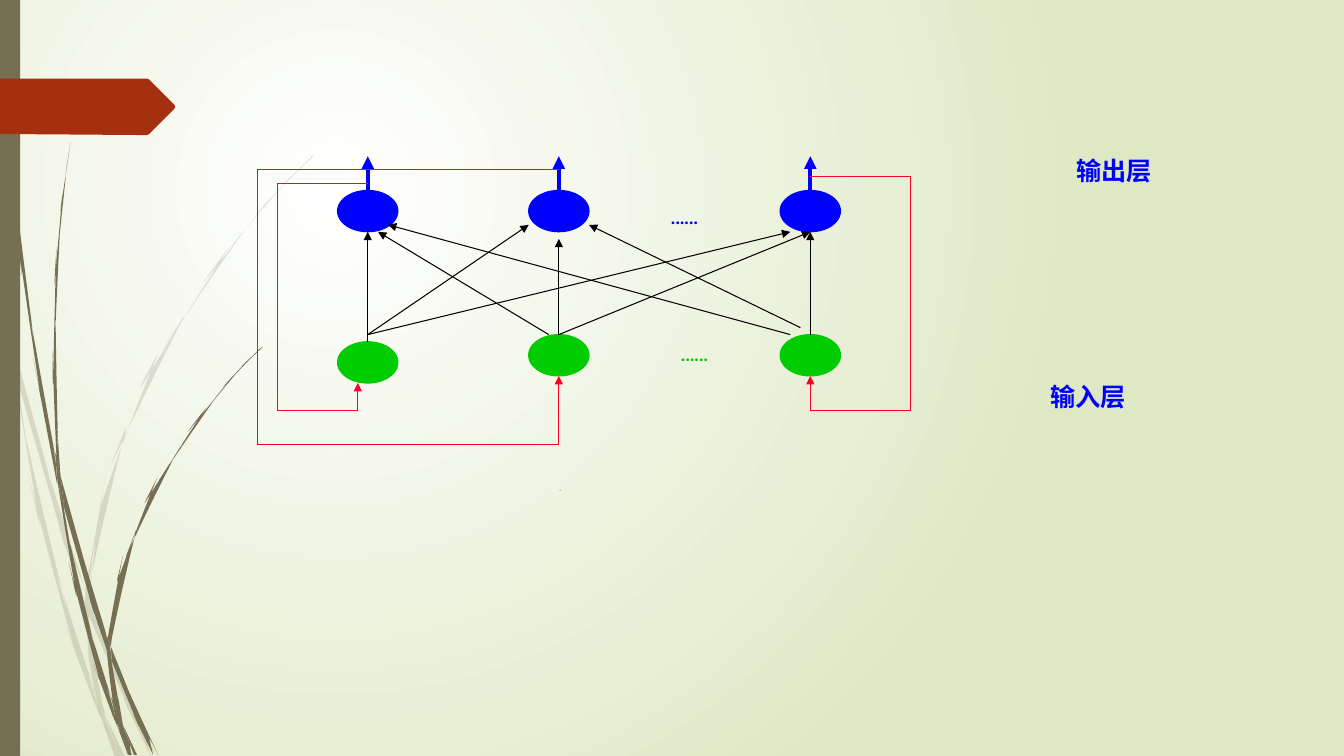
from itertools import pairwise
from lxml.etree import SubElement
from pptx import Presentation
from pptx.dml.color import RGBColor
from pptx.enum.shapes import MSO_CONNECTOR as Connector, MSO_SHAPE as Shape
from pptx.enum.text import MSO_ANCHOR as Anchor, PP_ALIGN as Align
from pptx.oxml.ns import qn
from pptx.util import Pt

THEME = {
    "glow": "FFFFFF", "field": "DFE8C4", "wisp": "766F54", "marker": "A53010",
    "output": "0000FF", "input": "00CC00", "link": "000000", "feedback": "FC0128",
    "dot": "8C8C8C", "label_font": "Karla", "dot_font": "Quicksand",
    "label_size": 18, "dot_size": 9, "thin": 0.75, "thick": 3,
}
SLIDE_SIZE = (960, 540)
GRID = 0.72

PALE_WISPS = [
    [[(11, 350), (9, 322), (0, 282)], [(0, 299), (10, 344), (11, 350)]],
    [[(17, 376), (58, 522), (84, 599)], [(85, 586), (62, 520), (14, 345)]],
    [[(88, 610), (123, 694), (150, 751)],
     [(155, 751), (127, 692), (92, 607), (88, 596)]],
    [[(105, 711), (119, 751)], [(124, 751), (105, 711)]],
    [[(11, 350), (28, 470), (65, 621), (92, 693), (101, 714)],
     [(99, 707), (93, 683), (70, 619), (31, 469), (17, 376), (11, 350)]],
    [[(84, 599), (87, 646), (93, 683), (96, 692), (105, 711)],
     [(103, 706), (91, 646), (88, 610), (88, 608), (84, 599)]],
    [[(88, 596), (88, 584), (110, 462), (160, 349), (229, 245), (268, 198),
      (290, 175), (312, 154)],
     [(312, 153), (289, 175), (268, 197), (228, 244), (158, 348), (107, 461),
      (85, 584), (85, 586)]],
    [[(101, 714), (114, 751)], [(119, 751), (101, 714)]],
    [[(88, 608), (88, 610)], [(88, 596), (85, 586)], [(84, 599), (88, 608)]],
    [[(93, 683), (99, 707), (101, 714), (119, 751)],
     [(105, 711), (96, 692), (93, 683)]],
]
DARK_WISPS = [
    [[(57, 481), (55, 457), (55, 453), (36, 355), (19, 232), (8, 109), (5, 48), (4, 0)],
     [(3, 0), (4, 48), (7, 110), (17, 233), (33, 355), (56, 477), (57, 481)]],
    [[(64, 505), (88, 592), (106, 645)], [(106, 633), (106, 631), (93, 590), (60, 472)]],
    [[(111, 656), (132, 708), (152, 749)],
     [(157, 749), (136, 706), (113, 649), (110, 641)]],
    [[(57, 477), (68, 557), (93, 659), (111, 708), (117, 722)],
     [(116, 717), (110, 691), (98, 657), (72, 556), (64, 505), (57, 477)]],
    [[(60, 472), (58, 453), (54, 349), (58, 245), (63, 193), (70, 141)],
     [(70, 141), (62, 193), (56, 245), (52, 349), (55, 449), (60, 472)]],
    [[(122, 719), (133, 749)], [(136, 749), (122, 719)]],
    [[(57, 477), (64, 505)], [(60, 472), (55, 449)], [(55, 453), (57, 477)]],
    [[(111, 633), (125, 552), (158, 476), (205, 406), (231, 374), (245, 359), (261, 344)],
     [(260, 344), (245, 358), (231, 373), (204, 405), (156, 474), (122, 551),
      (106, 631), (110, 641)]],
    [[(117, 722), (127, 749)], [(131, 749), (117, 722)]],
    [[(106, 645), (110, 691), (116, 706), (122, 719)],
     [(121, 716), (111, 656), (109, 651), (106, 645)]],
    [[(106, 645), (109, 651), (111, 656)], [(110, 641), (106, 631), (106, 633)]],
    [[(110, 691), (116, 717), (117, 722), (130, 749)],
     [(133, 749), (122, 719), (116, 706), (110, 691)]],
]
MARKER = [[(0, 78), (146, 78)], [(148, 79), (173, 104)], [(174, 106), (173, 108)],
          [(148, 133), (146, 134)], [(136, 134), (0, 133)]]

COLUMNS = (262.7, 399.2, 578.8)
FIRST, SECOND, LAST = COLUMNS
NODE_SIZE = (43.2, 29.6)
OUTPUT_TOP = 136
INPUT_TOPS = (244.1, 239, 239)
ARROW_TOP = 111.6
LINKS = [
    ((FIRST, 244.1), (FIRST, 165.6)),
    ((FIRST, 239), (564.5, 165.6)),
    ((FIRST, 239), (377.7, 160.6)),
    ((392, 239), (270, 165.6)),
    ((SECOND, 239), (SECOND, 170.6)),
    ((SECOND, 239), (LAST, 165.6)),
    ((LAST, 239), (LAST, 165.6)),
    ((571.7, 234), (420.7, 160.6)),
    ((564.5, 239), (277.2, 160.6)),
]
FEEDBACK_LOOPS = [
    [(FIRST, 131), (198, 131), (198, 293), (255.6, 293), (255.6, 273.6)],
    [(SECOND, 121.4), (183.6, 121.4), (183.6, 317.5), (SECOND, 317.5), (SECOND, 268.6)],
    [(LAST, 126), (650.5, 126), (650.5, 293), (LAST, 293), (LAST, 268.6)],
]
LABELS = [
    ("……", (442.1, 146.2, 93.6, 14.4), "output", False),
    ("……", (449.3, 244.1, 93.6, 14.4), "input", False),
    ("输出层", (738.2, 112.1, 115.2, 19.4), "output", True),
    ("输入层", (719.7, 273.6, 115.2, 19.4), "output", True),
]
DOT_BOX = (392.4, 333.4, 599.8, 28.8)


def color(name):
    return RGBColor.from_string(THEME[name])


def apply(target, values):
    for name, value in values.items():
        setattr(target, name, value)


def unit(vector):
    return vector / (abs(vector) or 1)


def mirror(tangent, chord):
    return unit(chord) ** 2 * tangent.conjugate()


def curve_handles(anchors):
    if len(anchors) == 2:
        return [None]
    inner = [unit(after - before) for before, after in zip(anchors, anchors[2:])]
    tangents = [mirror(inner[0], anchors[1] - anchors[0]), *inner,
                mirror(inner[-1], anchors[-1] - anchors[-2])]
    return [(a + u * abs(b - a) / 3, b - v * abs(b - a) / 3)
            for (a, b), (u, v) in zip(pairwise(anchors), pairwise(tangents))]


def paint_background(slide):
    fill = slide.background.fill
    fill.gradient()
    for stop, name, position in zip(fill.gradient_stops, ("glow", "field"), (0, 1)):
        stop.color.rgb = color(name)
        stop.position = position
    gradient = next(slide.background._cSld.iter(qn("a:gradFill")))
    gradient.remove(gradient.find(qn("a:lin")))
    circle = SubElement(gradient, qn("a:path"), {"path": "circle"})
    SubElement(circle, qn("a:fillToRect"),
               {"l": "50000", "t": "50000", "r": "100000", "b": "100000"})


def paint(shape, name, outlined=False):
    shape.shadow.inherit = False
    shape.fill.solid()
    shape.fill.fore_color.rgb = color(name)
    if outlined:
        shape.line.color.rgb = color(name)
        shape.line.width = Pt(THEME["thin"])
    else:
        shape.line.fill.background()


def add_outline(slide, sides, name, alpha=None):
    points, handles = [], []
    for side in sides:
        anchors = [complex(Pt(x * GRID), Pt(y * GRID)) for x, y in side]
        joined = points and points[-1] == anchors[0]
        points += anchors[1:] if joined else anchors
        handles += ([] if joined else [None]) + curve_handles(anchors)
    vertices = [(point.real, point.imag) for point in points]
    builder = slide.shapes.build_freeform(*vertices[0])
    builder.add_line_segments(vertices[1:], close=True)
    shape = builder.convert_to_shape()
    segments = list(shape._element.spPr.iter(qn("a:lnTo")))
    for segment, pair in zip(segments, handles[1:]):
        if pair:
            segment.tag = qn("a:cubicBezTo")
            for index, handle in enumerate(pair):
                point = SubElement(segment, qn("a:pt"),
                                   {"x": str(round(handle.real - shape.left)),
                                    "y": str(round(handle.imag - shape.top))})
                segment.insert(index, point)
    paint(shape, name)
    if alpha:
        tint = next(shape._element.spPr.iter(qn("a:srgbClr")))
        SubElement(tint, qn("a:alpha"), {"val": str(alpha * 1000)})


def add_node(slide, center, top, name):
    width, height = NODE_SIZE
    box = (center - width / 2, top, width, height)
    paint(slide.shapes.add_shape(Shape.OVAL, *map(Pt, box)), name, outlined=True)


def add_line(slide, start, end, name, width="thin", arrow=True):
    line = slide.shapes.add_connector(Connector.STRAIGHT, *map(Pt, (*start, *end)))
    line.line.color.rgb = color(name)
    line.line.width = Pt(THEME[width])
    if arrow:
        SubElement(line.line._get_or_add_ln(), qn("a:tailEnd"), {"type": "triangle"})
    SubElement(line._element.spPr, qn("a:effectLst"))


def add_text(slide, text, box, name, style, align, wrap, bold=False):
    frame = slide.shapes.add_textbox(*map(Pt, box)).text_frame
    apply(frame, {"word_wrap": wrap, "vertical_anchor": Anchor.MIDDLE})
    paragraph = frame.paragraphs[0]
    paragraph.alignment = align
    run = paragraph.add_run()
    run.text = text
    apply(run.font, {"name": THEME[style + "_font"], "bold": bold,
                     "size": Pt(THEME[style + "_size"])})
    run.font.color.rgb = color(name)


presentation = Presentation()
width, height = map(Pt, SLIDE_SIZE)
apply(presentation, {"slide_width": width, "slide_height": height})
slide = presentation.slides.add_slide(presentation.slide_layouts[6])
paint_background(slide)
for wisps, alpha in ((PALE_WISPS, 20), (DARK_WISPS, None)):
    for sides in wisps:
        add_outline(slide, sides, "wisp", alpha)
paint(slide.shapes.add_shape(Shape.RECTANGLE, 0, 0, Pt(14.4), height), "wisp")
add_outline(slide, MARKER, "marker")
add_text(slide, ".", DOT_BOX, "dot", "dot", Align.LEFT, True)
for center, input_top in zip(COLUMNS, INPUT_TOPS):
    add_node(slide, center, OUTPUT_TOP, "output")
    add_node(slide, center, input_top, "input")
    add_line(slide, (center, OUTPUT_TOP), (center, ARROW_TOP), "output", "thick")
for start, end in LINKS:
    add_line(slide, start, end, "link")
for loop in FEEDBACK_LOOPS:
    for start, end in pairwise(loop):
        add_line(slide, start, end, "feedback", arrow=end == loop[-1])
for text, box, name, bold in LABELS:
    add_text(slide, text, box, name, "label", Align.CENTER, False, bold)
presentation.save("out.pptx")
